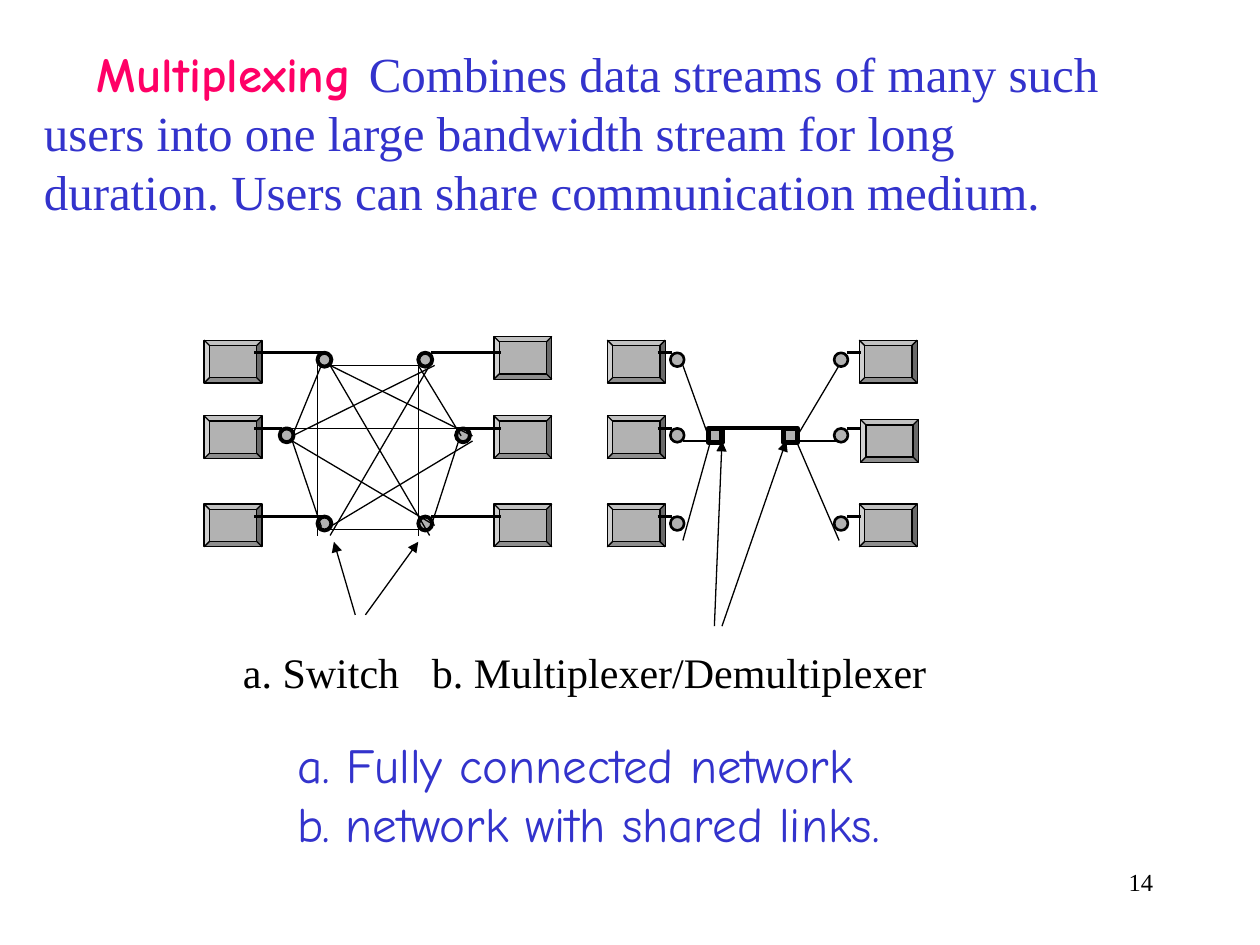
"""Builds the multiplexing slide: a fully connected network beside one with shared links."""
from lxml import etree
from pptx import Presentation
from pptx.dml.color import RGBColor
from pptx.enum.shapes import MSO_CONNECTOR, MSO_SHAPE
from pptx.enum.text import MSO_ANCHOR, PP_ALIGN
from pptx.oxml.ns import qn
from pptx.util import Emu, Pt

EMU_PER_PX = 9144
BEVEL, CIRCLE, SQUARE = MSO_SHAPE.BEVEL, MSO_SHAPE.OVAL, MSO_SHAPE.RECTANGLE
STRAIGHT = MSO_CONNECTOR.STRAIGHT
TOP, MIDDLE = MSO_ANCHOR.TOP, MSO_ANCHOR.MIDDLE
LEFT, RIGHT = PP_ALIGN.LEFT, PP_ALIGN.RIGHT
LEFT_SIDE, RIGHT_SIDE = 1, 3
COLORS = {"ink": "000000", "gray": "B2B2B2", "blue": "3333CC", "pink": "FF0066"}
SERIF, COMIC = "Times New Roman", "Comic Neue"
NODE_ROWS = (280, 340, 410)
STATION_WIDTH, STATION_HEIGHT, NODE_SIZE = 46, 34, 11


def px(length):
    return Emu(length * EMU_PER_PX)


def color(name):
    return RGBColor.from_string(COLORS[name])


def apply(target, values):
    for name, value in values.items():
        setattr(target, name, value)


class Sketch:
    """Holds the line style and the current slide, and draws each kind of element."""

    def __init__(self, slide, ink="ink", fill="gray"):
        self.slide, self.ink, self.fill = slide, ink, fill

    def shape(self, kind, left, top, width, height, weight=0.75):
        shape = self.slide.shapes.add_shape(kind, px(left), px(top), px(width), px(height))
        shape.shadow.inherit = False
        shape.fill.solid()
        shape.fill.fore_color.rgb = color(self.fill)
        shape.line.color.rgb = color(self.ink)
        shape.line.width = Pt(weight)
        return shape

    def station(self, left, top):
        station = self.shape(BEVEL, left, top, STATION_WIDTH, STATION_HEIGHT)
        station.adjustments[0] = 0.125

    def node(self, kind, left, top, weight):
        return self.shape(kind, left, top, NODE_SIZE, NODE_SIZE, weight)

    def line(self, x1, y1, x2, y2, weight=0.75, arrow=False):
        line = self.slide.shapes.add_connector(STRAIGHT, px(x1), px(y1), px(x2), px(y2))
        line.line.color.rgb = color(self.ink)
        line.line.width = Pt(weight)
        if arrow:
            etree.SubElement(line.line._get_or_add_ln(), qn("a:tailEnd"), type="triangle")
        etree.SubElement(line._element.spPr, qn("a:effectLst"))
        return line

    def text(self, box, paragraphs, anchor=TOP, align=LEFT, spacing=None,
             margin=0, indent=0, tab=None):
        frame = self.slide.shapes.add_textbox(*map(px, box)).text_frame
        apply(frame, {"word_wrap": True, "vertical_anchor": anchor})
        for index, runs in enumerate(paragraphs):
            paragraph = frame.add_paragraph() if index else frame.paragraphs[0]
            properties = paragraph._p.get_or_add_pPr()
            properties.set("marL", str(px(margin)))
            properties.set("indent", str(px(indent)))
            if tab:
                tabs = etree.SubElement(properties, qn("a:tabLst"))
                etree.SubElement(tabs, qn("a:tab"), pos=str(px(tab)), algn="l")
            apply(paragraph, {"alignment": align, "line_spacing": spacing})
            for words, font, size, ink, bold in runs:
                run = paragraph.add_run()
                run.text = words
                apply(run.font, {"name": font, "size": Pt(size), "bold": bold})
                run.font.color.rgb = color(ink)


def draw_switched_network(sketch):
    for left, tops in ((162, (270, 330, 400)), (392, (267, 330, 400))):
        for top in tops:
            sketch.station(left, top)
    for y, left_end, right_start in zip(NODE_ROWS, (259, 224, 259), (342, 362, 342)):
        sketch.line(202, y, left_end, y, 1.5)
        sketch.line(right_start, y, 398, y, 1.5)
    for y, columns in zip(NODE_ROWS, ((252, 332), (222, 362), (252, 332))):
        for x in columns:
            sketch.node(CIRCLE, x, y, 2.25)
    mesh = (
        (262, 420, 341, 420), (262, 290, 341, 290), (332, 290, 366, 346),
        (364, 350, 342, 418), (255, 290, 232, 346), (232, 350, 255, 418),
        (332, 290, 332, 425), (252, 290, 252, 425), (262, 290, 375, 346),
        (262, 290, 341, 425), (345, 290, 232, 346), (341, 290, 262, 425),
        (379, 340, 232, 340), (375, 350, 262, 418), (345, 417, 232, 350),
    )
    for ends in mesh:
        sketch.line(*ends)
    sketch.line(290, 488, 332, 430, arrow=True)
    sketch.line(282, 488, 265, 430, arrow=True)


def draw_shared_network(sketch):
    for left, tops in ((482, (270, 330, 400)), (682, (270, 333, 400))):
        for top in tops:
            sketch.station(left + (top == 333), top)
    multiplexer, demultiplexer = (sketch.node(SQUARE, x, 340, 3) for x in (562, 622))
    for link_x, node_x in ((522, 532), (672, 662)):
        for y in NODE_ROWS:
            sketch.line(link_x, y, link_x + 11, y, 1.5)
            sketch.node(CIRCLE, node_x, y, 1.5)
    for start, end, hub, side in ((542, 564, multiplexer, LEFT_SIDE),
                                  (666, 632, demultiplexer, RIGHT_SIDE)):
        sketch.line(start, 290, end, 346).end_connect(hub, side)
        for y in (350, 429):
            sketch.line(start, y, end, 350)
    sketch.line(628, 340, 572, 340, 2.25)
    sketch.line(573, 497, 624, 350, arrow=True)
    sketch.line(567, 497, 573, 350, arrow=True)


def main():
    presentation = Presentation()
    apply(presentation, {"slide_width": px(1000), "slide_height": px(750)})
    sketch = Sketch(presentation.slides.add_slide(presentation.slide_layouts[6]))
    sketch.text((25, 17, 883, 175), [[
        ("Multiplexing ", COMIC, 28, "pink", True),
        ("Combines data streams of many such users into one large bandwidth stream "
         "for long duration. Users can share communication medium.",
         SERIF, 28, "blue", False),
    ]], anchor=MIDDLE, spacing=Pt(33.7), indent=42)
    draw_switched_network(sketch)
    draw_shared_network(sketch)
    sketch.text((183, 508, 667, 50), [[
        ("a. Switch\tb. Multiplexer/Demultiplexer", SERIF, 24, "ink", False)]], tab=208)
    sketch.text((42, 567, 750, 125), [
        [(words, COMIC, 28, "blue", False)]
        for words in ("a. Fully connected network", "b. network with shared links.")
    ], anchor=MIDDLE, spacing=Pt(33.7), margin=184)
    sketch.text((717, 683, 208, 50), [[("14", SERIF, 14, "ink", False)]], align=RIGHT)
    presentation.save("out.pptx")


if __name__ == "__main__":
    main()
